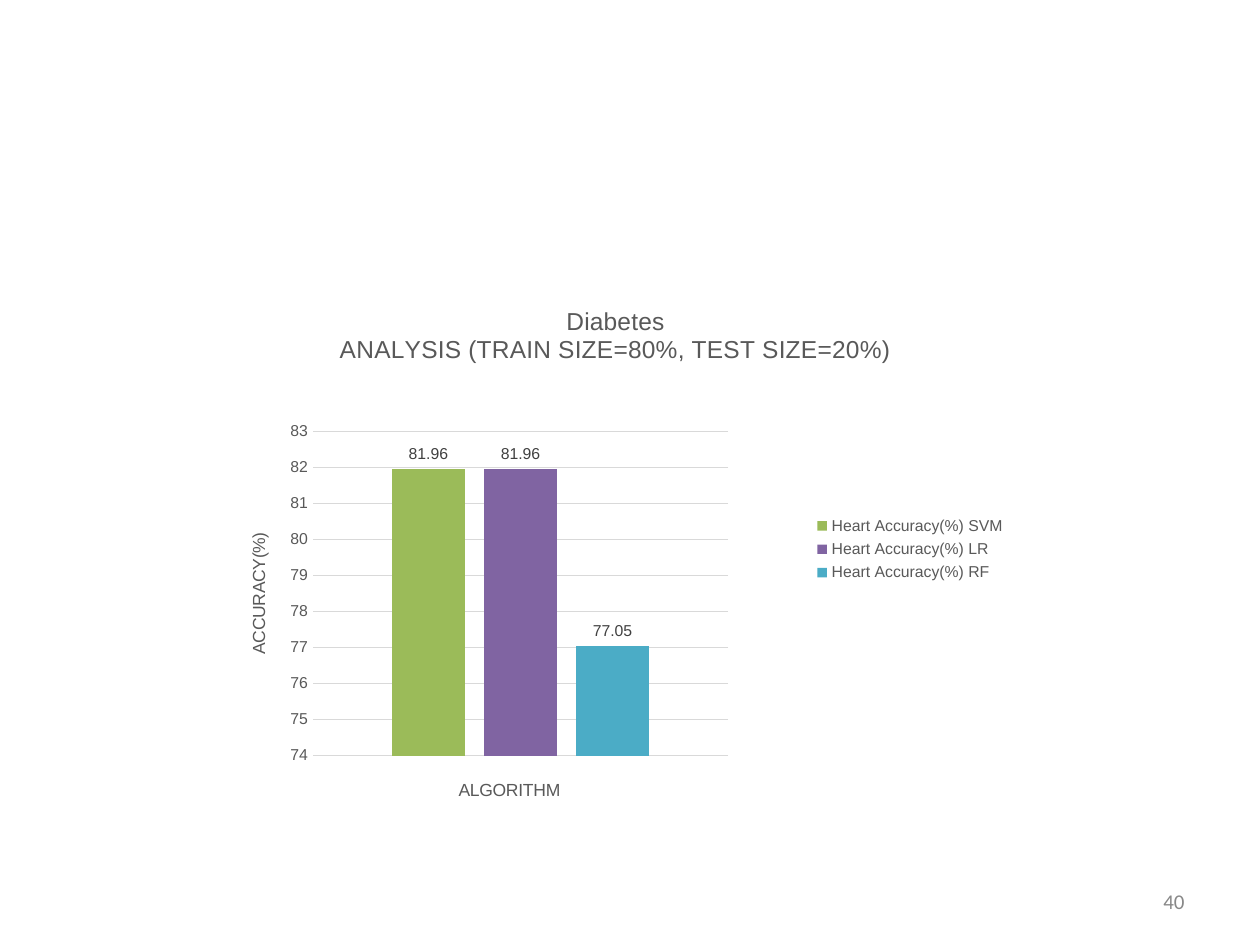
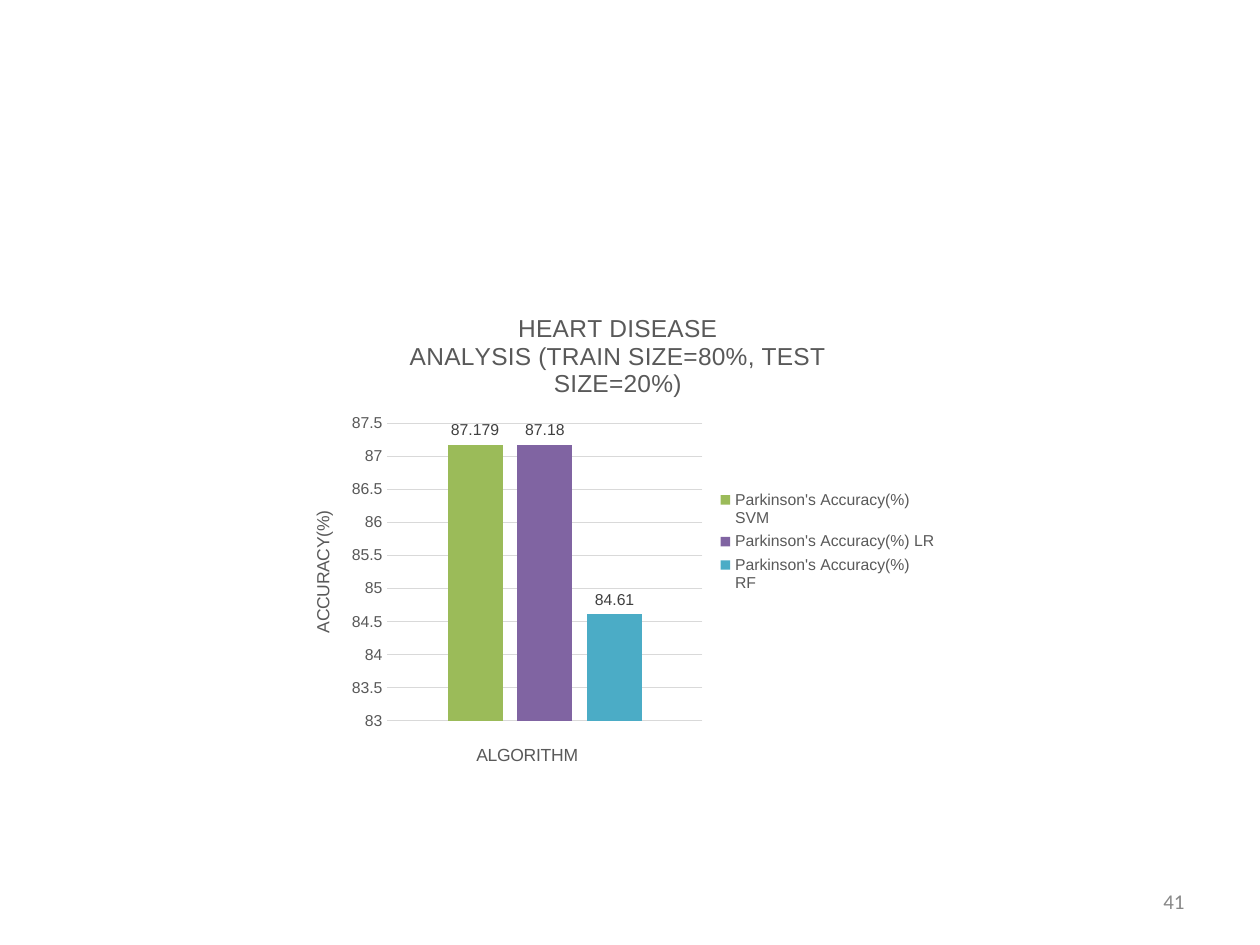
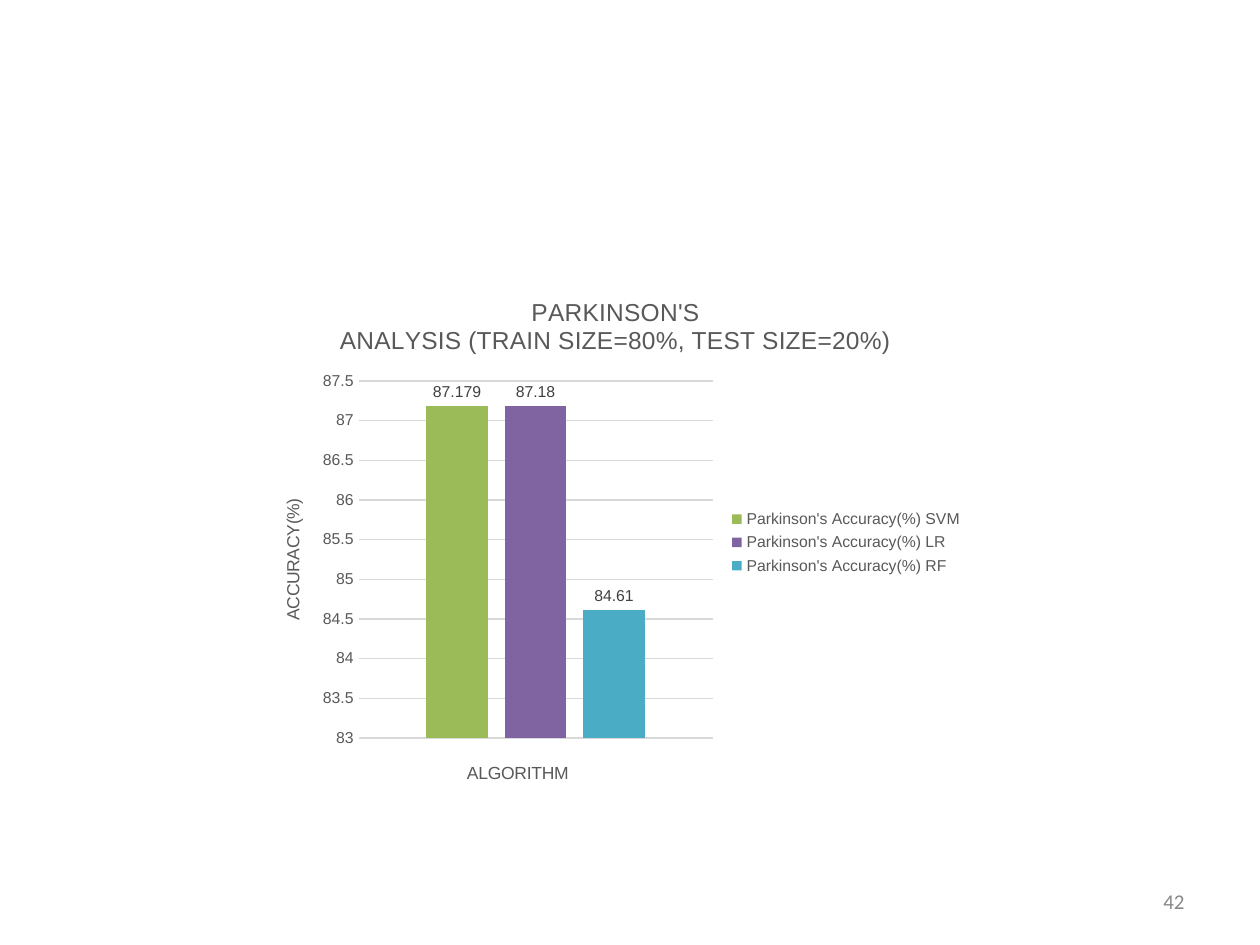
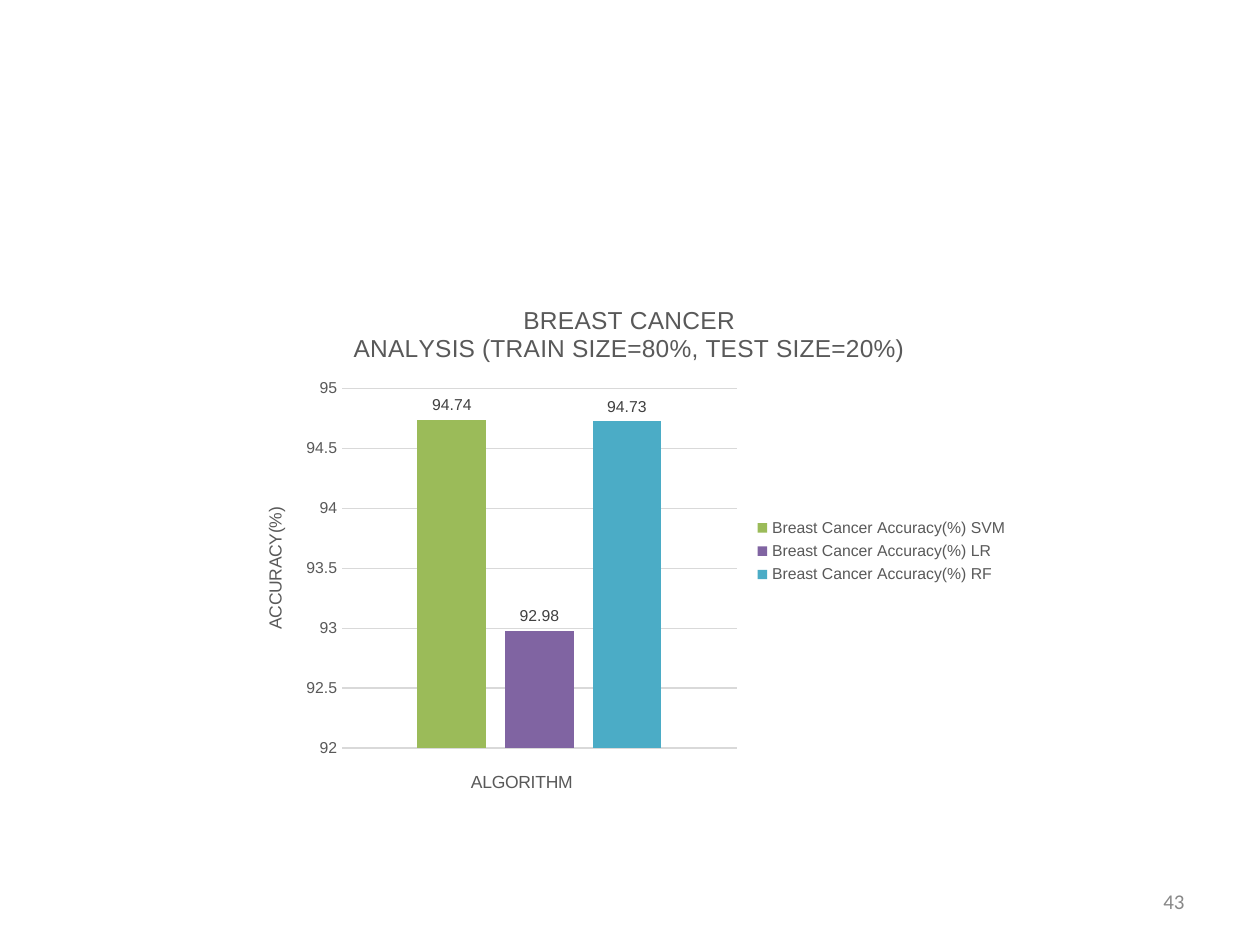
from pptx import Presentation
from pptx.chart.data import CategoryChartData
from pptx.dml.color import RGBColor
from pptx.enum.chart import XL_CHART_TYPE as ChartType
from pptx.enum.chart import XL_LABEL_POSITION as LabelPosition
from pptx.enum.chart import XL_LEGEND_POSITION as LegendPosition
from pptx.enum.chart import XL_TICK_MARK as TickMark
from pptx.enum.text import MSO_ANCHOR as Anchor
from pptx.enum.text import PP_ALIGN as Align
from pptx.oxml import parse_xml
from pptx.oxml.ns import nsdecls
from pptx.util import Pt

BLACK = RGBColor(0x00, 0x00, 0x00)
AXIS_GRAY = RGBColor(0x59, 0x59, 0x59)
LABEL_GRAY = RGBColor(0x40, 0x40, 0x40)
GRID_GRAY = RGBColor(0xD9, 0xD9, 0xD9)
NUMBER_GRAY = RGBColor(0x88, 0x88, 0x88)
GREEN = RGBColor(0x9B, 0xBB, 0x59)
PURPLE = RGBColor(0x80, 0x64, 0xA2)
TEAL = RGBColor(0x4B, 0xAC, 0xC6)

ALGORITHMS = {"SVM": GREEN, "LR": PURPLE, "RF": TEAL}
TITLE_LINE = "ANALYSIS (TRAIN SIZE=80%, TEST SIZE=20%)"
FIRST_NUMBER = 40

# heading, measured disease, accuracies, chart box in points, inner plot area as fractions
ANALYSES = [
    ("Diabetes", "Heart", (81.96, 81.96, 77.05),
     (121.7, 162.7, 460.1, 302.4), {"x": 0.124, "y": 0.277, "w": 0.516, "h": 0.613}),
    ("HEART DISEASE", "Parkinson's", (87.179, 87.18, 84.61),
     (163.4, 167, 379.4, 285.1), None),
    ("PARKINSON'S", "Parkinson's", (87.179, 87.18, 84.61),
     (146.2, 157.7, 411.1, 304.6), None),
    ("BREAST CANCER", "Breast Cancer", (94.74, 92.98, 94.73),
     (136.1, 162, 447.1, 306), None),
]


class Deck:
    FONTS = {
        "chart": {"name": "Arial", "size": Pt(10), "color": BLACK},
        "title": {"name": "Arial", "size": Pt(14), "color": AXIS_GRAY, "bold": False},
        "axis title": {"name": "Arial", "size": Pt(10), "color": AXIS_GRAY, "bold": False},
        "scale": {"name": "Arial", "size": Pt(9), "color": AXIS_GRAY},
        "value": {"name": "Arial", "size": Pt(9), "color": LABEL_GRAY},
        "number": {"name": "Calibri", "size": Pt(12), "color": NUMBER_GRAY},
    }

    def __init__(self):
        self.presentation = Presentation()
        self.presentation.slide_width = Pt(720)
        self.presentation.slide_height = Pt(540)
        self.slide = None

    def add_slide(self):
        self.slide = self.presentation.slides.add_slide(self.presentation.slide_layouts[6])

    def style(self, font, role):
        for attribute, value in self.FONTS[role].items():
            if attribute == "color":
                font.color.rgb = value
            else:
                setattr(font, attribute, value)

    def page_number(self, number):
        frame = self.slide.shapes.add_textbox(Pt(516), Pt(500.5), Pt(168), Pt(28.75)).text_frame
        frame.word_wrap = True
        frame.vertical_anchor = Anchor.MIDDLE
        paragraph = frame.paragraphs[0]
        paragraph.alignment = Align.RIGHT
        run = paragraph.add_run()
        run.text = str(number)
        self.style(run.font, "number")

    def title(self, owner, text, role):
        """Title a chart or an axis, one paragraph for each line."""
        owner.has_title = True
        title = owner.chart_title if role == "title" else owner.axis_title
        title.text_frame.text = text
        for paragraph in title.text_frame.paragraphs:
            self.style(paragraph.font, role)
            for run in paragraph.runs:
                self.style(run.font, role)

    def accuracy_chart(self, heading, disease, accuracies, box, plot_area):
        data = CategoryChartData()
        data.categories = ["1"]
        for algorithm, accuracy in zip(ALGORITHMS, accuracies):
            data.add_series(f"{disease} Accuracy(%) {algorithm}", [accuracy])
        chart = self.slide.shapes.add_chart(
            ChartType.COLUMN_CLUSTERED, *map(Pt, box), data).chart
        self.style(chart.font, "chart")
        self.title(chart, f"{heading}\n{TITLE_LINE}", "title")
        self.columns(chart.plots[0])
        self.axes(chart)
        self.legend(chart)
        if plot_area:
            self.place_plot(chart, plot_area)

    def columns(self, plot):
        for attribute, value in {"gap_width": 219, "overlap": -27,
                                 "vary_by_categories": False}.items():
            setattr(plot, attribute, value)
        for series, color in zip(plot.series, ALGORITHMS.values()):
            series.invert_if_negative = False
            series.format.fill.solid()
            series.format.fill.fore_color.rgb = color
            labels = series.data_labels
            labels.show_value = True
            labels.position = LabelPosition.OUTSIDE_END
            self.style(labels.font, "value")

    def axes(self, chart):
        self.title(chart.category_axis, "ALGORITHM", "axis title")
        chart.category_axis.visible = False
        scale = chart.value_axis
        self.title(scale, "ACCURACY(%)", "axis title")
        self.style(scale.tick_labels.font, "scale")
        scale.major_tick_mark = scale.minor_tick_mark = TickMark.NONE
        scale.format.line.fill.background()
        grid = scale.major_gridlines.format.line
        grid.color.rgb = GRID_GRAY
        grid.width = Pt(0.75)

    def legend(self, chart):
        chart.has_legend = True
        chart.legend.position = LegendPosition.RIGHT
        chart.legend.include_in_layout = False
        self.style(chart.legend.font, "scale")

    def place_plot(self, chart, plot_area):
        """Fix the inner plot area, given as fractions of the chart."""
        modes = '<c:xMode val="edge"/><c:yMode val="edge"/>'
        sizes = "".join(f'<c:{side} val="{part}"/>' for side, part in plot_area.items())
        chart.element.chart.plotArea.insert(0, parse_xml(
            f'<c:layout {nsdecls("c")}><c:manualLayout><c:layoutTarget val="inner"/>'
            f"{modes}{sizes}</c:manualLayout></c:layout>"))


def main():
    deck = Deck()
    for number, analysis in enumerate(ANALYSES, FIRST_NUMBER):
        deck.add_slide()
        deck.page_number(number)
        deck.accuracy_chart(*analysis)
    deck.presentation.save("out.pptx")


if __name__ == "__main__":
    main()
